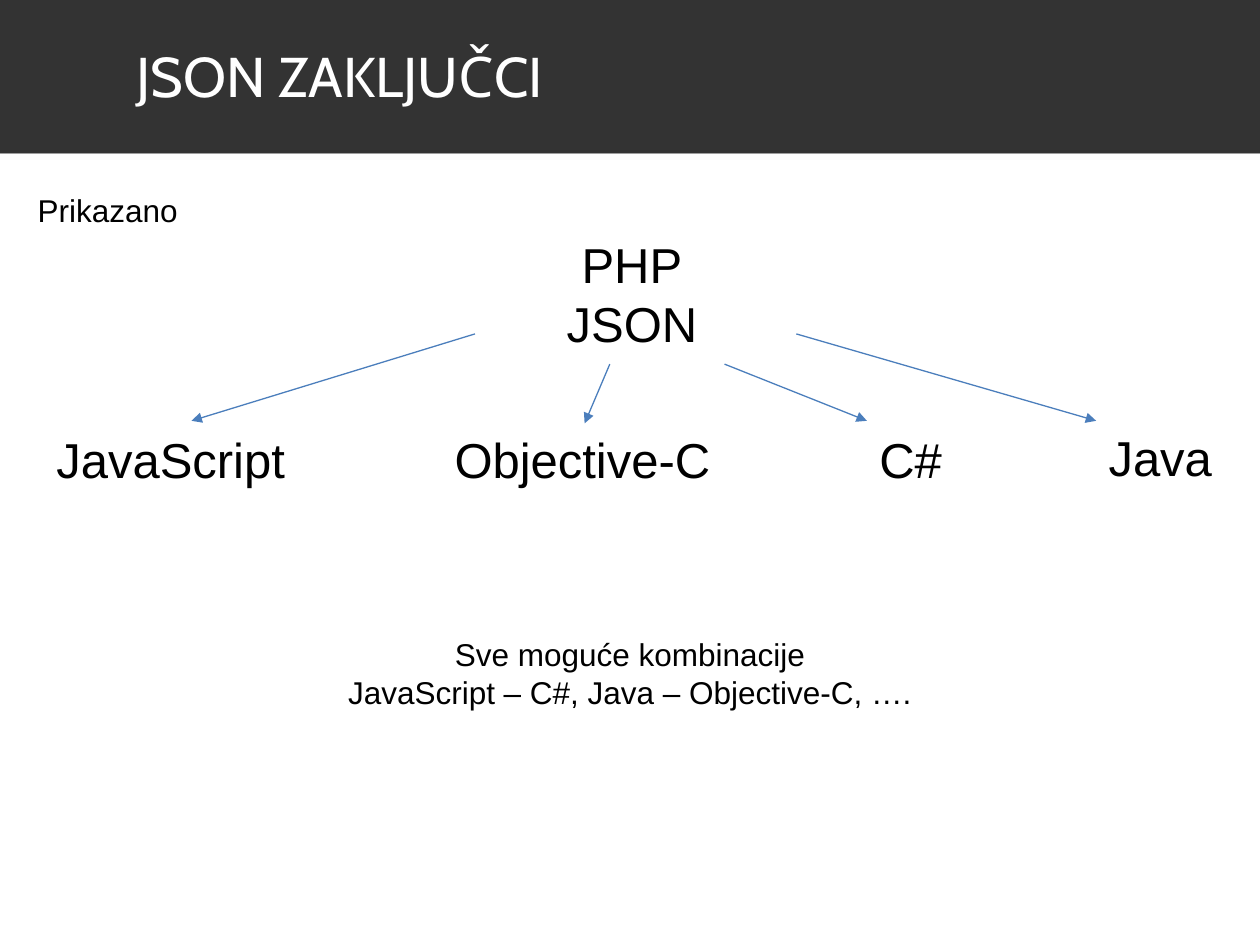
from dataclasses import dataclass

from lxml import etree
from pptx import Presentation
from pptx.dml.color import RGBColor
from pptx.enum.shapes import MSO_CONNECTOR, MSO_SHAPE
from pptx.enum.text import MSO_ANCHOR, MSO_AUTO_SIZE as AutoSize, PP_ALIGN as Align
from pptx.oxml.ns import qn
from pptx.util import Inches, Pt


@dataclass(frozen=True)
class Theme:
    title_font: str = "Cabin"
    body_font: str = "Arial"
    title_size: int = 32
    label_size: int = 28
    note_size: int = 18
    band: RGBColor = RGBColor(0x33, 0x33, 0x33)
    white: RGBColor = RGBColor(0xFF, 0xFF, 0xFF)
    black: RGBColor = RGBColor(0x00, 0x00, 0x00)
    arrow: RGBColor = RGBColor(0x4B, 0x7E, 0xBC)


THEME = Theme()
TITLE = "JSON ZAKLJUČCI"
NOTE = ("Prikazano", (0.2, 1.47, 1.32, 0.4))
SOURCE = ("PHP\nJSON", (4.39, 1.81, 1.25, 1.04))
LANGUAGES = [
    ("JavaScript", (0.35, 3.36, 2.04, 0.57)),
    ("Objective-C", (3.51, 3.36, 2.26, 0.57)),
    ("C#", (6.88, 3.36, 0.71, 0.57)),
    ("Java", (8.7, 3.34, 1.03, 0.57)),
]
ARROWS = [
    ((3.77, 2.65), (1.52, 3.34)),
    ((5.75, 2.89), (6.88, 3.34)),
    ((6.32, 2.65), (8.7, 3.34)),
    ((4.84, 2.89), (4.64, 3.36)),
]
COMBINATIONS = (
    "Sve moguće kombinacije\nJavaScript – C#, Java – Objective-C, ….",
    (0, 4.99, 10, 0.71),
)


def inches(values):
    return [Inches(value) for value in values]


def format_text(text_frame, font_name, size, color, align):
    for paragraph in text_frame.paragraphs:
        paragraph.alignment = align
        for run in paragraph.runs:
            run.font.name = font_name
            run.font.size = Pt(size)
            run.font.color.rgb = color


def add_title(slide):
    title = slide.shapes.title
    title.left, title.top, title.width, title.height = inches((0, -0.03, 10, 1.25))
    title.fill.solid()
    title.fill.fore_color.rgb = THEME.band
    text_frame = title.text_frame
    text_frame.text = TITLE
    text_frame.auto_size = AutoSize.NONE
    text_frame.vertical_anchor = MSO_ANCHOR.MIDDLE
    text_frame.margin_left = Inches(1.08)
    format_text(text_frame, THEME.title_font, THEME.title_size, THEME.white, Align.LEFT)


def add_panel(slide):
    panel = slide.shapes.add_shape(MSO_SHAPE.RECTANGLE, *inches((0, 1.22, 10, 6.28)))
    panel.shadow.inherit = False
    panel.line.fill.background()
    panel.fill.solid()
    panel.fill.fore_color.rgb = THEME.white
    color = panel.fill._xPr.find(qn("a:solidFill"))[0]
    etree.SubElement(color, qn("a:alpha"), val="80000")


def add_label(slide, text, box, size, align=Align.LEFT, wrap=False):
    text_frame = slide.shapes.add_textbox(*inches(box)).text_frame
    text_frame.text = text
    text_frame.word_wrap = wrap
    text_frame.auto_size = AutoSize.SHAPE_TO_FIT_TEXT
    format_text(text_frame, THEME.body_font, size, THEME.black, align)


def add_arrow(slide, start, end):
    arrow = slide.shapes.add_connector(MSO_CONNECTOR.STRAIGHT, *inches(start + end))
    arrow.line.color.rgb = THEME.arrow
    arrow.line.width = Pt(0.75)
    etree.SubElement(arrow.line._get_or_add_ln(), qn("a:tailEnd"), type="triangle")
    etree.SubElement(arrow._element.spPr, qn("a:effectLst"))


def main():
    presentation = Presentation()
    presentation.slide_width, presentation.slide_height = inches((10, 7.5))
    slide = presentation.slides.add_slide(presentation.slide_layouts[5])
    add_title(slide)
    add_panel(slide)
    add_label(slide, *NOTE, THEME.note_size)
    add_label(slide, *SOURCE, THEME.label_size, Align.CENTER)
    for text, box in LANGUAGES:
        add_label(slide, text, box, THEME.label_size)
    for start, end in ARROWS:
        add_arrow(slide, start, end)
    add_label(slide, *COMBINATIONS, THEME.note_size, Align.CENTER, wrap=True)
    presentation.save("out.pptx")


if __name__ == "__main__":
    main()
